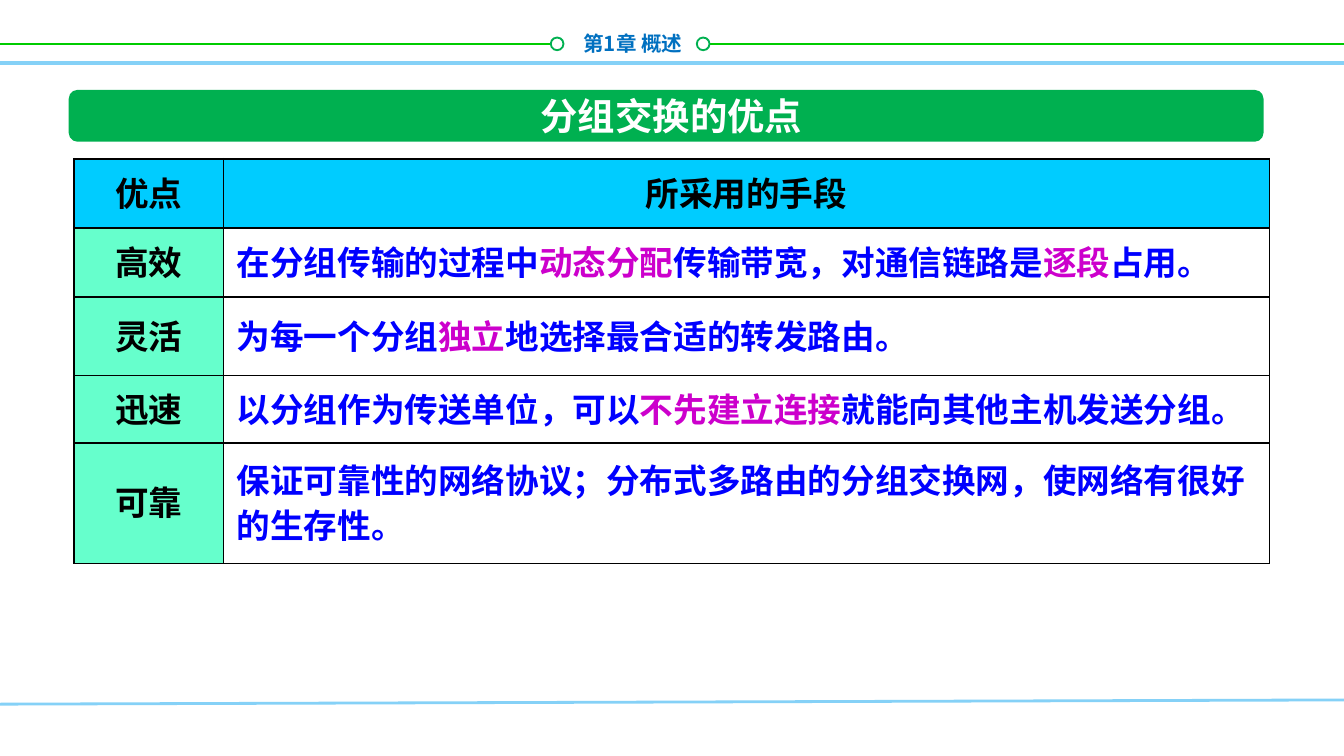
"""Build the slide on the advantages of packet switching."""
from lxml.etree import SubElement
from pptx import Presentation
from pptx.dml.color import RGBColor
from pptx.enum.shapes import MSO_CONNECTOR as Connector, MSO_SHAPE as Preset
from pptx.enum.text import MSO_ANCHOR as Anchor, PP_ALIGN as Align
from pptx.oxml import parse_xml
from pptx.oxml.ns import nsdecls, qn
from pptx.util import Cm, Pt

WHITE = RGBColor(0xFF, 0xFF, 0xFF)
BLACK = RGBColor(0x00, 0x00, 0x00)
LIME = RGBColor(0x00, 0xCC, 0x00)
GREEN = RGBColor(0x00, 0xB0, 0x50)
SKY = RGBColor(0x85, 0xD1, 0xF7)
CHAPTER_BLUE = RGBColor(0x00, 0x70, 0xC0)
HEADER_CYAN = RGBColor(0x00, 0xCC, 0xFF)
MINT = RGBColor(0x66, 0xFF, 0xCC)
BLUE = RGBColor(0x00, 0x00, 0xFF)
MAGENTA = RGBColor(0xCC, 0x00, 0xCC)

WIDTH, HEIGHT = 25.4, 14.29
HEADER_Y, RING = 0.83, 0.24
ADVANTAGES = [
    ("优点", "所采用的手段", 1.31),
    ("高效", "在分组传输的过程中|动态分配|传输带宽，对通信链路是|逐段|占用。", 1.3),
    ("灵活", "为每一个分组|独立|地选择最合适的转发路由。", 1.49),
    ("迅速", "以分组作为传送单位，可以|不先建立连接|就能向其他主机发送分组。", 1.27),
    ("可靠", "保证可靠性的网络协议；分布式多路由的分组交换网，使网络有很好的生存性。", 2.28),
]


class Painter:
    font = "Noto Sans CJK SC"

    def __init__(self, slide):
        self.slide = slide

    def style(self, run, size, color):
        run.font.size, run.font.bold = Pt(size), True
        run.font.name = self.font
        run.font.color.rgb = color
        SubElement(run.font._element, qn("a:ea"), typeface=self.font)

    def line(self, x1, y1, x2, y2, color, weight):
        rule = self.slide.shapes.add_connector(
            Connector.STRAIGHT, Cm(x1), Cm(y1), Cm(x2), Cm(y2))
        rule.line.color.rgb, rule.line.width = color, Pt(weight)
        SubElement(rule._element.spPr, qn("a:effectLst"))

    def shape(self, preset, x, y, w, h, fill, outline=None):
        figure = self.slide.shapes.add_shape(preset, Cm(x), Cm(y), Cm(w), Cm(h))
        figure.shadow.inherit = False
        figure.fill.solid()
        figure.fill.fore_color.rgb = fill
        if outline is None:
            figure.line.fill.background()
        else:
            figure.line.color.rgb, figure.line.width = outline, Pt(1)
        return figure

    def text(self, x, y, w, h, words, size, color, align):
        frame = self.slide.shapes.add_textbox(Cm(x), Cm(y), Cm(w), Cm(h)).text_frame
        frame.word_wrap, frame.vertical_anchor = True, Anchor.MIDDLE
        frame.text = words
        frame.paragraphs[0].alignment = align
        self.style(frame.paragraphs[0].runs[0], size, color)

    def cell(self, cell, words, fill, colors, align):
        cell.fill.solid()
        cell.fill.fore_color.rgb = fill
        cell.vertical_anchor = Anchor.MIDDLE
        paragraph = cell.text_frame.paragraphs[0]
        paragraph.alignment, paragraph.line_spacing = align, Pt(24)
        for index, part in enumerate(words.split("|")):
            run = paragraph.add_run()
            run.text = part
            self.style(run, 18, colors[index % len(colors)])
        for index, side in enumerate("LRTB"):
            cell._tc.tcPr.insert(index, parse_xml(
                f'<a:ln{side} {nsdecls("a")} w="{Pt(1)}"><a:solidFill>'
                f'<a:srgbClr val="{BLACK}"/></a:solidFill></a:ln{side}>'))

    def table(self, x, y, widths, rows):
        heights = [height for *_, height in rows]
        grid = self.slide.shapes.add_table(
            len(rows), len(widths), Cm(x), Cm(y), Cm(sum(widths)), Cm(sum(heights))).table
        for column, width in zip(grid.columns, widths):
            column.width = Cm(width)
        for index, (advantage, means, height) in enumerate(rows):
            grid.rows[index].height = Cm(height)
            header = index == 0
            self.cell(grid.cell(index, 0), advantage, HEADER_CYAN if header else MINT,
                      [BLACK], Align.CENTER)
            self.cell(grid.cell(index, 1), means, HEADER_CYAN if header else WHITE,
                      [BLACK] if header else [BLUE, MAGENTA],
                      Align.CENTER if header else Align.LEFT)


def main():
    deck = Presentation()
    deck.slide_width, deck.slide_height = Cm(WIDTH), Cm(HEIGHT)
    painter = Painter(deck.slides.add_slide(deck.slide_layouts[6]))

    painter.text(9.75, 0.46, 3.4, 0.71, "第1章 概述", 11, CHAPTER_BLUE, Align.RIGHT)
    for start, end, ring_x in ((0, 10.41, 10.41), (13.41, WIDTH, 13.17)):
        painter.line(start, HEADER_Y, end, HEADER_Y, LIME, 1)
        painter.shape(Preset.OVAL, ring_x, HEADER_Y - RING / 2, RING, RING, WHITE, GREEN)
    painter.line(0, 13.31, WIDTH, 13.23, SKY, 1.5)
    painter.line(0, 1.19, WIDTH, 1.19, SKY, 2)

    banner = painter.shape(Preset.ROUNDED_RECTANGLE, 1.3, 1.7, 22.58, 0.98, GREEN)
    banner.adjustments[0] = 0.17
    painter.table(1.4, 3, (2.82, 19.77), ADVANTAGES)
    painter.text(3.48, 1.7, 18.42, 0.98, "分组交换的优点", 20, WHITE, Align.CENTER)
    deck.save("out.pptx")


if __name__ == "__main__":
    main()
